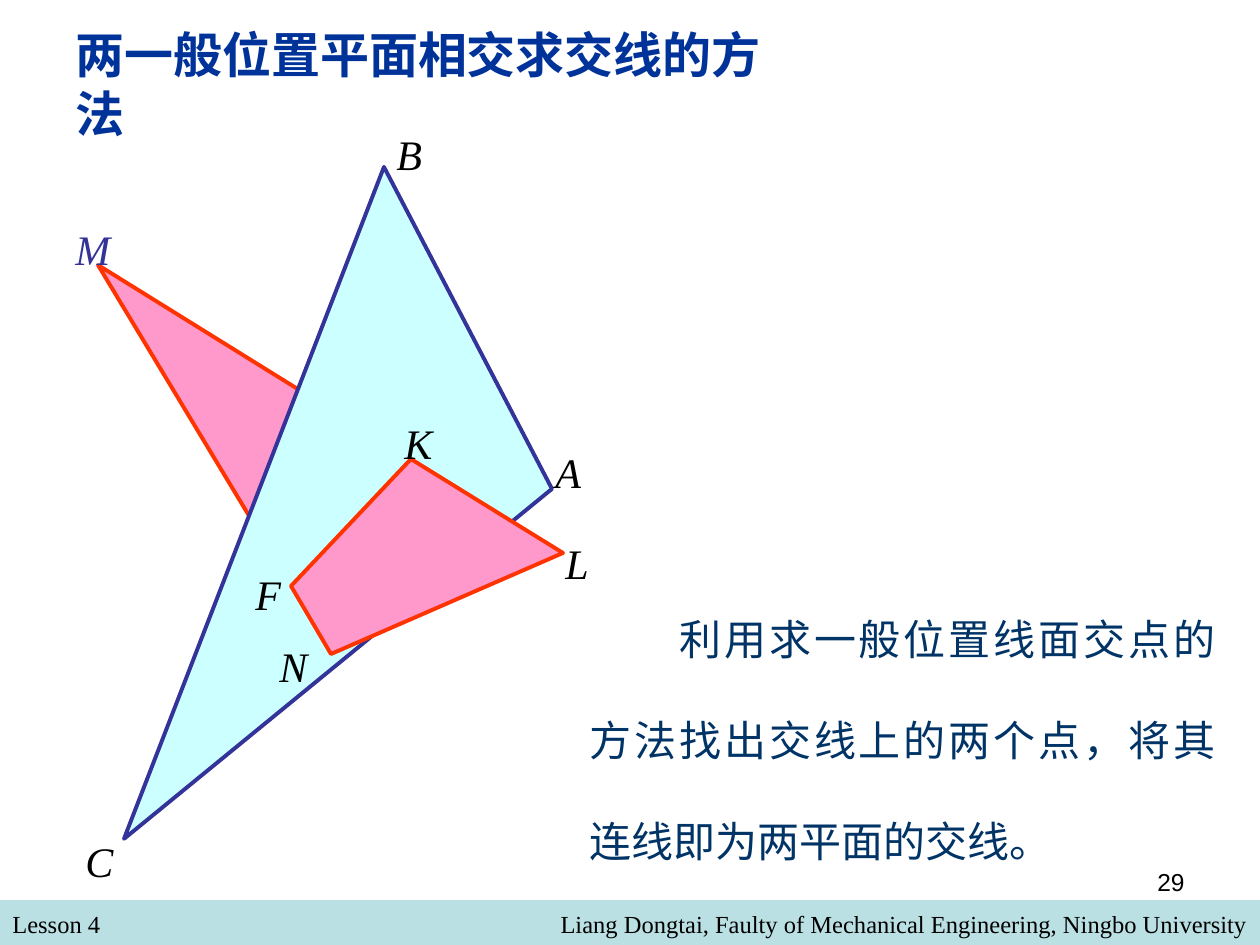
"""Build the slide on finding the intersection line of two planes in general position."""
from pptx import Presentation
from pptx.dml.color import RGBColor
from pptx.enum.text import MSO_ANCHOR, PP_ALIGN
from pptx.util import Pt

PX = 914400 // 126
LEFT, RIGHT, JUSTIFY = PP_ALIGN.LEFT, PP_ALIGN.RIGHT, PP_ALIGN.JUSTIFY
TOP = MSO_ANCHOR.TOP

BLACK = RGBColor(0x00, 0x00, 0x00)
TITLE_BLUE = RGBColor(0x00, 0x33, 0x99)
BODY_BLUE = RGBColor(0x00, 0x33, 0x66)
INDIGO = RGBColor(0x33, 0x33, 0x99)
CYAN = RGBColor(0xCC, 0xFF, 0xFF)
PINK = RGBColor(0xFF, 0x99, 0xCC)
RED = RGBColor(0xFF, 0x33, 0x00)
FOOTER_TEAL = RGBColor(0xBB, 0xE0, 0xE3)

SERIF, SANS, CJK = "Times New Roman", "Arial", "Noto Sans CJK SC"

TITLE = "两一般位置平面相交求交线的方法"
BODY = "利用求一般位置线面交点的方法找出交线上的两个点，将其连线即为两平面的交线。"
FOOTERS = [
    ("Lesson 4", (0, 903, 609, 43), LEFT, SERIF),
    ("Liang Dongtai, Faulty of Mechanical Engineering, Ningbo University",
     (231, 903, 1029, 43), RIGHT, SERIF),
    ("29", (903, 861, 294, 66), RIGHT, SANS),
]
PLANES = [
    ([(292, 587), (98, 265), (412, 460)], PINK, RED),
    ([(552, 489), (124, 839), (384, 167)], CYAN, INDIGO),
    ([(411, 459), (291, 586), (331, 654), (563, 553)], PINK, RED),
]
LABELS = [
    ("M", 63, 217, INDIGO), ("B", 384, 122, BLACK), ("C", 73, 829, BLACK),
    ("A", 543, 440, BLACK), ("F", 243, 562, BLACK), ("K", 392, 411, BLACK),
    ("N", 267, 634, BLACK), ("L", 553, 531, BLACK),
]
LABEL_SIZE = (104, 63)


def place(s, box):
    s.left, s.top, s.width, s.height = (v * PX for v in box)


def write(s, text, font, size, color, align=LEFT, wrap=True):
    tf = s.text_frame
    tf.word_wrap = wrap
    tf.vertical_anchor = TOP
    p = tf.paragraphs[0]
    p.text = text
    p.alignment = align
    p.font.name = font
    p.font.size = Pt(size)
    p.font.color.rgb = color
    return p


def add_text(slide, box, *args, **kwargs):
    s = slide.shapes.add_textbox(*(v * PX for v in box))
    return write(s, *args, **kwargs)


def add_plane(slide, points, fill, line):
    builder = slide.shapes.build_freeform(*points[0], scale=PX)
    builder.add_line_segments(points[1:], close=True)
    s = builder.convert_to_shape()
    s.shadow.inherit = False
    s.fill.solid()
    s.fill.fore_color.rgb = fill
    s.line.color.rgb = line
    s.line.width = Pt(2.25)


def add_footer(slide):
    s = slide.shapes.add_shape(1, 0, 900 * PX, 1260 * PX, 45 * PX)
    s.shadow.inherit = False
    s.fill.solid()
    s.fill.fore_color.rgb = FOOTER_TEAL
    s.line.fill.background()
    for text, box, align, font in FOOTERS:
        add_text(slide, box, text, font, 14, BLACK, align)


def main():
    prs = Presentation()
    prs.slide_width, prs.slide_height = 1260 * PX, 945 * PX
    slide = prs.slides.add_slide(prs.slide_layouts[5])

    title = slide.shapes.title
    place(title, (63, 18, 758, 72))
    write(title, TITLE, SANS, 28, TITLE_BLUE, wrap=False).font.bold = True

    add_footer(slide)
    p = add_text(slide, (577, 557, 651, 315), BODY, CJK, 24, BODY_BLUE, JUSTIFY)
    p.line_spacing = 2
    p._p.get_or_add_pPr().set("indent", str(90 * PX))

    for plane in PLANES:
        add_plane(slide, *plane)
    for text, left, top, color in LABELS:
        p = add_text(slide, (left, top, *LABEL_SIZE), text, SERIF, 24, color)
        p.font.italic = True

    prs.save("out.pptx")


if __name__ == "__main__":
    main()
